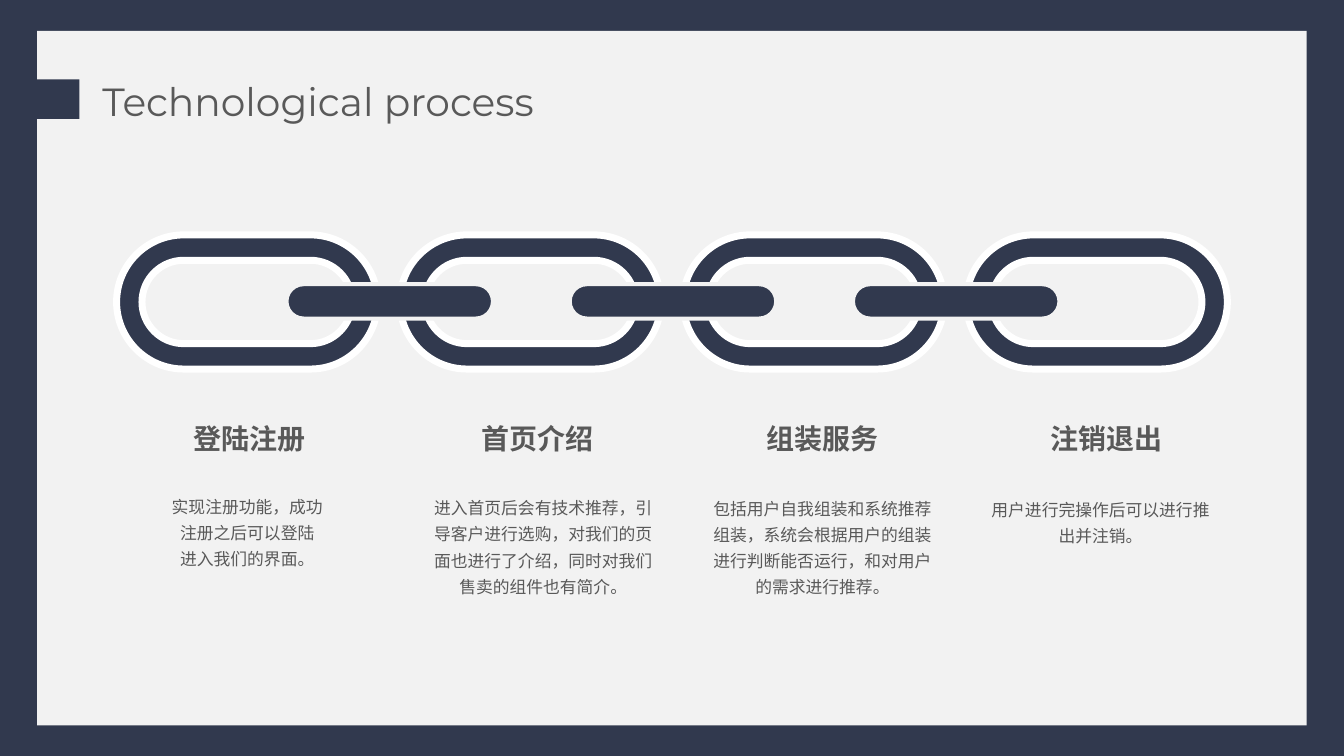
from dataclasses import dataclass

from pptx import Presentation
from pptx.dml.color import RGBColor
from pptx.enum.shapes import MSO_SHAPE
from pptx.enum.text import MSO_AUTO_SIZE, PP_ALIGN
from pptx.oxml.ns import qn
from pptx.oxml.xmlchemy import OxmlElement
from pptx.util import Cm, Pt

RECT = MSO_SHAPE.RECTANGLE
ROUNDED = MSO_SHAPE.ROUNDED_RECTANGLE
LEFT = PP_ALIGN.LEFT
CENTER = PP_ALIGN.CENTER
FIT_SHAPE = MSO_AUTO_SIZE.SHAPE_TO_FIT_TEXT

NAVY, PAPER, WHITE, GRAY = "31394E", "F2F2F2", "FFFFFF", "595959"
LATIN_FONT, CHINESE_FONT = "Montserrat", "Noto Sans CJK SC"

LINK_STEP = 7.14
RING_LEFT, RING_TOP, RING_WIDTH, RING_HEIGHT = 2.94, 5.92, 6.58, 3.38
RING_THICKNESS = 0.64
BAR_LEFT, BAR_TOP, BAR_WIDTH, BAR_HEIGHT = 7.22, 7.16, 5.21, 0.87
ARC_HANDLE = 0.55


@dataclass
class Box:
    left: float
    top: float
    width: float
    height: float

    def emu(self) -> tuple[int, int, int, int]:
        return Cm(self.left), Cm(self.top), Cm(self.width), Cm(self.height)


@dataclass
class Step:
    heading: str
    heading_left: float
    lines: list[str]
    body_left: float
    body_top: float
    body_height: float


STEPS = [
    Step("登陆注册", 3.45, ["实现注册功能，成功", "注册之后可以登陆", "进入我们的界面。"],
         3.22, 12.24, 2.18),
    Step("首页介绍", 10.71,
         ["进入首页后会有技术推荐，引导客户进行选购，对我们的页面也进行了介绍，同时对我们售卖的组件也有简介。"],
         10.68, 12.27, 2.84),
    Step("组装服务", 17.88,
         ["包括用户自我组装和系统推荐组装，系统会根据用户的组装进行判断能否运行，和对用户的需求进行推荐。"],
         17.72, 12.28, 2.87),
    Step("注销退出", 25.04, ["用户进行完操作后可以进行推出并注销。"], 24.73, 12.32, 1.52),
]


def rgb(value: str) -> RGBColor:
    return RGBColor.from_string(value)


def paint(sp, fill: str, line: str = "", weight: float = 0) -> None:
    sp.shadow.inherit = False
    sp.fill.solid()
    sp.fill.fore_color.rgb = rgb(fill)
    if line:
        sp.line.color.rgb = rgb(line)
        sp.line.width = Pt(weight)
    else:
        sp.line.fill.background()


def stadium(box: Box) -> list[tuple[int, int]]:
    radius = box.height / 2
    handle = radius * ARC_HANDLE
    top, middle, bottom = box.top, box.top + radius, box.top + box.height
    left, right = box.left, box.left + box.width
    near, far = left + radius, right - radius
    points = [
        (near, top),
        (near, top), (far, top), (far, top),
        (far + handle, top), (right, middle - handle), (right, middle),
        (right, middle + handle), (far + handle, bottom), (far, bottom),
        (far, bottom), (near, bottom), (near, bottom),
        (near - handle, bottom), (left, middle + handle), (left, middle),
        (left, middle - handle), (near - handle, top), (near, top),
    ]
    return [(Cm(x), Cm(y)) for x, y in points]


def bend_segments(sp) -> None:
    segments = list(sp._element.iter(qn("a:lnTo")))
    for i in range(0, len(segments), 3):
        curve = OxmlElement("a:cubicBezTo")
        segments[i].addprevious(curve)
        for segment in segments[i:i + 3]:
            curve.append(segment[0])
            segment.getparent().remove(segment)


def add_ring(s, box: Box, thickness: float) -> None:
    outer = stadium(box)
    inner = stadium(Box(box.left + thickness, box.top + thickness,
                        box.width - 2 * thickness, box.height - 2 * thickness))
    inner.reverse()
    builder = s.shapes.build_freeform(*outer[0])
    builder.add_line_segments(outer[1:], close=True)
    builder.move_to(*inner[0])
    builder.add_line_segments(inner[1:], close=True)
    sp = builder.convert_to_shape()
    bend_segments(sp)
    paint(sp, NAVY, WHITE, 5)


def add_bar(s, box: Box) -> None:
    sp = s.shapes.add_shape(ROUNDED, *box.emu())
    sp.adjustments[0] = 0.5
    paint(sp, NAVY, PAPER, 3)


def add_text(s, box: Box, lines: list[str], size: float, font: str = CHINESE_FONT,
             bold: bool = False, align: PP_ALIGN = CENTER, spacing: float = 1) -> None:
    tf = s.shapes.add_textbox(*box.emu()).text_frame
    tf.word_wrap = True
    tf.auto_size = FIT_SHAPE
    tf.text = "\n".join(lines)
    for p in tf.paragraphs:
        p.alignment = align
        p.line_spacing = spacing
        p.font.size = Pt(size)
        p.font.bold = bold
        p.font.color.rgb = rgb(GRAY)
        p.font.name = font
        east_asian = OxmlElement("a:ea")
        east_asian.set("typeface", font)
        p._p.pPr.find(qn("a:defRPr")).find(qn("a:latin")).addnext(east_asian)


def main() -> None:
    prs = Presentation()
    prs.slide_width, prs.slide_height = Cm(33.88), Cm(19.05)
    s = prs.slides.add_slide(prs.slide_layouts[6])
    s.background.fill.solid()
    s.background.fill.fore_color.rgb = rgb(NAVY)

    for box, color in ((Box(0.94, 0.78, 32, 17.5), PAPER), (Box(0, 2, 2, 1), NAVY)):
        paint(s.shapes.add_shape(RECT, *box.emu()), color)

    for i in range(len(STEPS)):
        add_ring(s, Box(RING_LEFT + i * LINK_STEP, RING_TOP, RING_WIDTH, RING_HEIGHT),
                 RING_THICKNESS)
    for i in range(len(STEPS) - 1):
        add_bar(s, Box(BAR_LEFT + i * LINK_STEP, BAR_TOP, BAR_WIDTH, BAR_HEIGHT))

    for step in STEPS:
        add_text(s, Box(step.heading_left, 10.5, 5.69, 1.09), [step.heading], 20, bold=True)
        add_text(s, Box(step.body_left, step.body_top, 6.03, step.body_height),
                 step.lines, 12, spacing=1.3)

    add_text(s, Box(2.33, 1.83, 23.37, 1.45), ["Technological process"], 28,
             font=LATIN_FONT, align=LEFT)
    prs.save("out.pptx")


if __name__ == "__main__":
    main()
